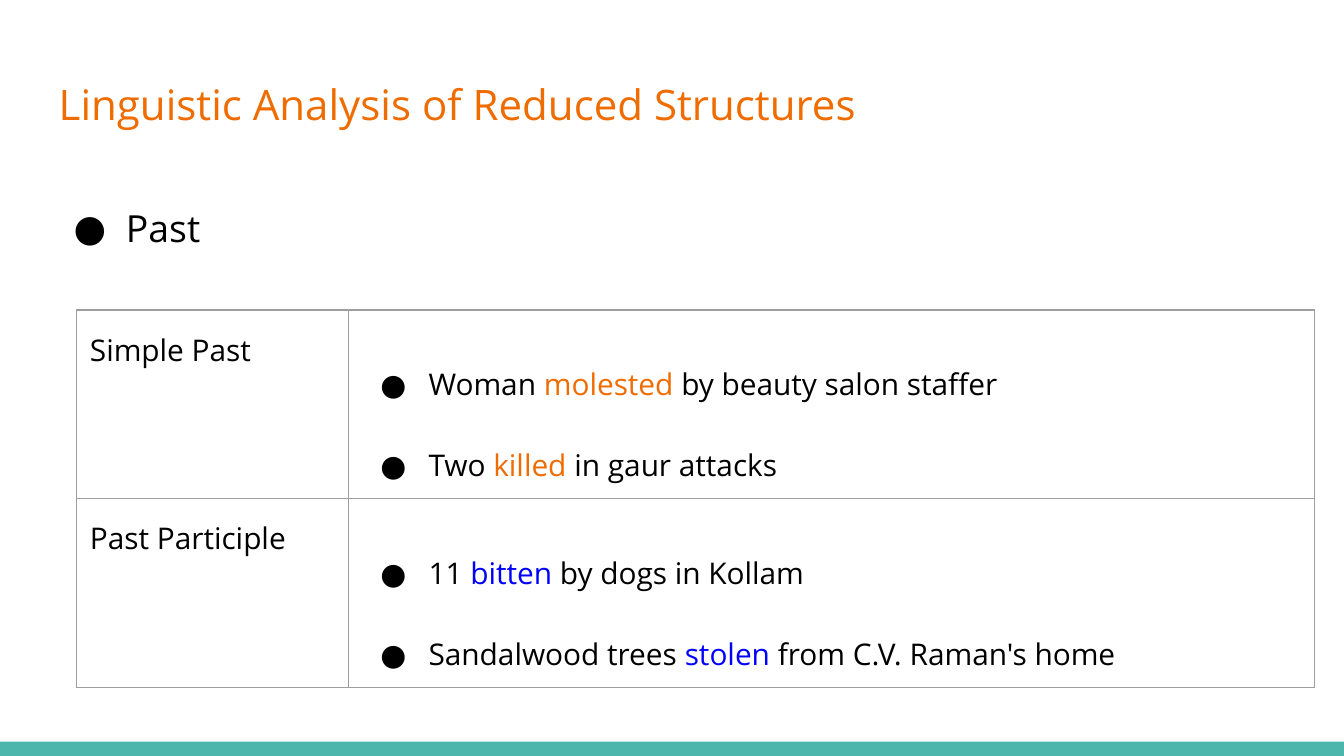
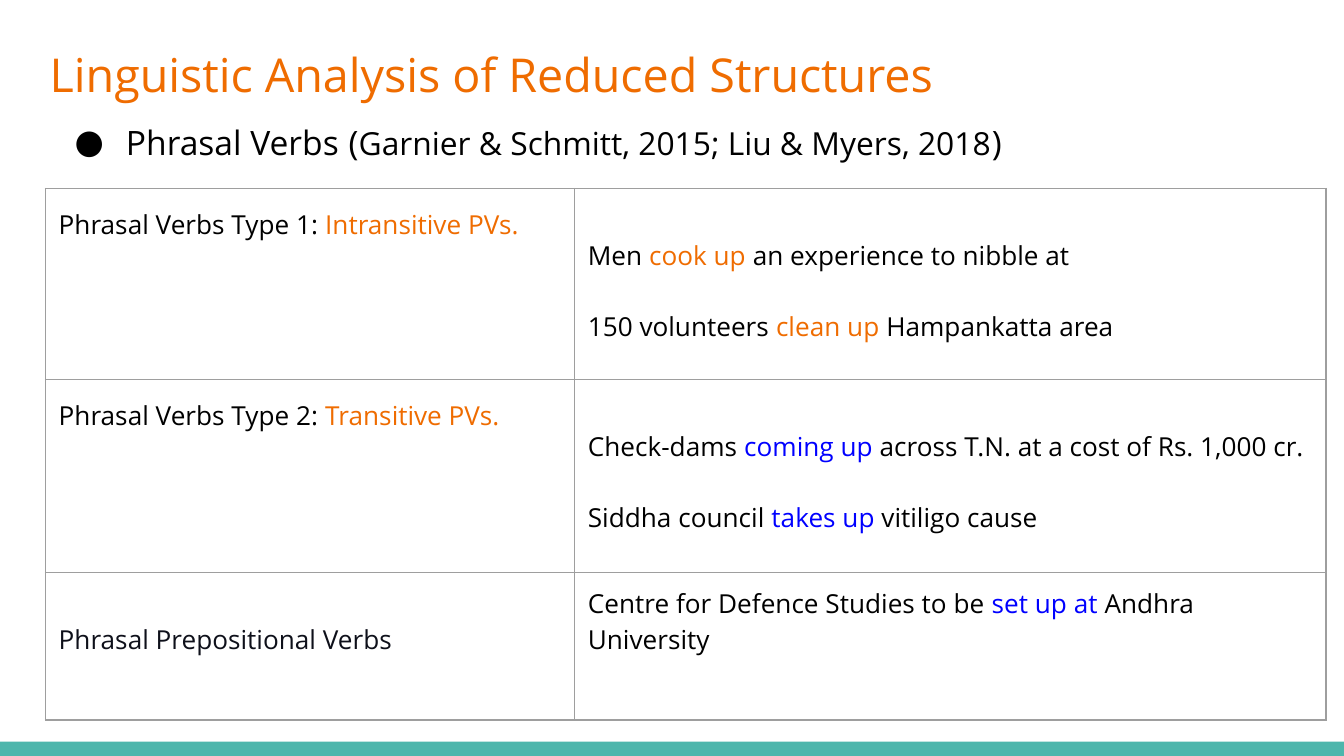
from dataclasses import dataclass

import pptx
import pptx.dml.color
import pptx.enum.shapes
import pptx.enum.text
import pptx.oxml
import pptx.oxml.ns
import pptx.util
from pptx.util import Cm


@dataclass(frozen=True)
class Theme:
    font: str = "Open Sans"
    text: str = "000000"
    ink: str = "0E101A"
    orange: str = "EF6C00"
    blue: str = "0000FF"
    teal: str = "4DB6AC"
    border: str = "9E9E9E"
    background: str = "FFFFFF"
    border_pt: float = 0.75
    body_pt: float = 20
    past_title_pt: float = 22.5
    past_table_pt: float = 16
    verbs_title_pt: float = 25
    verbs_body_pt: float = 18
    citation_pt: float = 17
    verbs_table_pt: float = 14


T = Theme()
INSET = Cm(0.25)
SLIDE_W, SLIDE_H = Cm(25.4), Cm(14.29)
BAND_H = Cm(0.27)
TITLE = "Linguistic Analysis of Reduced Structures"


def rgb(value):
    return pptx.dml.color.RGBColor.from_string(value)


def add_element(parent, tag, attributes="", inner=""):
    ns = pptx.oxml.ns.nsdecls("a")
    parent.append(pptx.oxml.parse_xml(f"<a:{tag} {ns} {attributes}>{inner}</a:{tag}>"))


def solid(color):
    return f'<a:solidFill><a:srgbClr val="{color}"/></a:solidFill>'


# Text
def format_paragraph(p, spacing=1.0, after=0, hanging=None):
    p.alignment = pptx.enum.text.PP_ALIGN.LEFT
    p.line_spacing = spacing
    p.space_before = pptx.util.Pt(0)
    p.space_after = pptx.util.Pt(after)
    pPr = p._p.get_or_add_pPr()
    if hanging:
        pPr.set("marL", str(Cm(1.27)))
        pPr.set("indent", str(-hanging))
        add_element(pPr, "buClr", inner=f'<a:srgbClr val="{T.text}"/>')
        add_element(pPr, "buFont", f'typeface="{T.font}"')
        add_element(pPr, "buChar", 'char="●"')
    else:
        pPr.set("marL", "0")
        pPr.set("indent", "0")
        add_element(pPr, "buNone")


def add_runs(p, pieces, size):
    """Each piece is (text, colour) or (text, colour, size)."""
    for text, color, *own_size in pieces:
        r = p.add_run()
        r.text = text
        r.font.name = T.font
        r.font.size = pptx.util.Pt(own_size[0] if own_size else size)
        r.font.color.rgb = rgb(color)


def fill_placeholder(sp, box, pieces, size, **paragraph_format):
    sp.left, sp.top, sp.width, sp.height = (Cm(v) for v in box)
    tf = sp.text_frame
    tf.word_wrap = True
    tf.auto_size = pptx.enum.text.MSO_AUTO_SIZE.NONE
    tf.vertical_anchor = pptx.enum.text.MSO_ANCHOR.TOP
    tf.margin_left = tf.margin_right = tf.margin_top = tf.margin_bottom = INSET
    format_paragraph(tf.paragraphs[0], **paragraph_format)
    add_runs(tf.paragraphs[0], pieces, size)


# Slide with title, bullet and bottom band
def add_slide(prs, title_box, title_pt, body_box, bullet, bullet_pt, hanging):
    s = prs.slides.add_slide(prs.slide_layouts[1])
    s.background.fill.solid()
    s.background.fill.fore_color.rgb = rgb(T.background)
    band = s.shapes.add_shape(pptx.enum.shapes.MSO_SHAPE.RECTANGLE,
                              0, SLIDE_H - BAND_H, SLIDE_W, BAND_H)
    band.shadow.inherit = False
    band.fill.solid()
    band.fill.fore_color.rgb = rgb(T.teal)
    band.line.fill.background()
    fill_placeholder(s.shapes.title, title_box, [(TITLE, T.orange)], title_pt)
    fill_placeholder(s.placeholders[1], body_box, bullet, bullet_pt,
                     spacing=1.15, hanging=hanging)
    return s


# Table
def fill_cell(cell, paragraphs, size, **paragraph_format):
    cell.margin_left = cell.margin_right = INSET
    cell.margin_top = cell.margin_bottom = INSET
    tf = cell.text_frame
    for i, pieces in enumerate(paragraphs):
        p = tf.paragraphs[0] if i == 0 else tf.add_paragraph()
        format_paragraph(p, **paragraph_format)
        add_runs(p, pieces, size)
    tcPr = cell._tc.get_or_add_tcPr()
    for side in ("lnL", "lnR", "lnT", "lnB"):
        add_element(tcPr, side, f'w="{pptx.util.Pt(T.border_pt)}"', solid(T.border))
    cell.fill.background()


def add_table(s, left, top, widths, heights, rows, size):
    """Each row holds (paragraphs, paragraph format) for every cell."""
    table = s.shapes.add_table(len(heights), len(widths), Cm(left), Cm(top),
                               Cm(sum(widths)), Cm(sum(heights))).table
    table.first_row = table.horz_banding = False
    for column, width in zip(table.columns, widths):
        column.width = Cm(width)
    for row, height, contents in zip(table.rows, heights, rows):
        row.height = Cm(height)
        for cell, (paragraphs, paragraph_format) in zip(row.cells, contents):
            fill_cell(cell, paragraphs, size, **paragraph_format)


def highlighted(before, marked, after, color):
    return [(before, T.text), (marked, color), (after, T.text)]


LABEL = dict(spacing=1.15, after=16)
DOUBLE = dict(spacing=2.0)
BULLETS = dict(spacing=2.0, hanging=Cm(0.91))


def past_slide(prs):
    s = add_slide(prs, (0.86, 1.24, 23.67, 1.96), T.past_title_pt,
                  (0.86, 3.5, 23.67, 9.17), [("Past", T.text)], T.body_pt, Cm(0.99))
    simple = [highlighted("Woman ", "molested", " by beauty salon staffer", T.orange),
              highlighted("Two ", "killed", " in gaur attacks", T.orange)]
    participle = [highlighted("11 ", "bitten ", "by dogs in Kollam", T.blue),
                  highlighted("Sandalwood trees ", "stolen ",
                              "from C.V. Raman's home", T.blue)]
    rows = [[([[(label, T.text)]], LABEL), (examples, BULLETS)]
            for label, examples in (("Simple Past", simple),
                                    ("Past Participle", participle))]
    add_table(s, 1.45, 5.86, (5.13, 18.26), (3.57, 3.57), rows, T.past_table_pt)


def phrasal_verbs_slide(prs):
    bullet = [("Phrasal Verbs", T.text), (" ", T.text, T.body_pt), ("(", T.text),
              ("Garnier & Schmitt, 2015; Liu & Myers, 2018", T.text, T.citation_pt),
              (")", T.text)]
    s = add_slide(prs, (0.69, 0.61, 23.67, 1.96), T.verbs_title_pt,
                  (0.86, 1.85, 23.67, 11.76), bullet, T.verbs_body_pt, Cm(0.97))
    intransitive = [
        highlighted("Men", " cook up ", "an experience to nibble at", T.orange),
        highlighted("150 volunteers", " clean up ", "Hampankatta area", T.orange)]
    transitive = [
        highlighted("Check-dams ", "coming up",
                    " across T.N. at a cost of Rs. 1,000 cr.", T.blue),
        highlighted("Siddha council ", "takes up ", "vitiligo cause", T.blue)]
    prepositional = [highlighted("Centre for Defence Studies to be ", "set up at ",
                                 "Andhra University", T.blue)]
    rows = [[([[(f"Phrasal Verbs Type {n}:", T.text), (f" {kind} PVs.", T.orange)]], LABEL),
             (examples, DOUBLE)]
            for n, kind, examples in ((1, "Intransitive", intransitive),
                                      (2, "Transitive", transitive))]
    rows.append([([[("Phrasal Prepositional Verbs", T.ink)]], dict(DOUBLE, after=2)),
                 (prepositional, {})])
    add_table(s, 0.86, 3.56, (10, 14.2), (3.61, 3.65, 2.79), rows, T.verbs_table_pt)


def main():
    prs = pptx.Presentation()
    prs.slide_width, prs.slide_height = SLIDE_W, SLIDE_H
    past_slide(prs)
    phrasal_verbs_slide(prs)
    prs.save("out.pptx")


if __name__ == "__main__":
    main()
